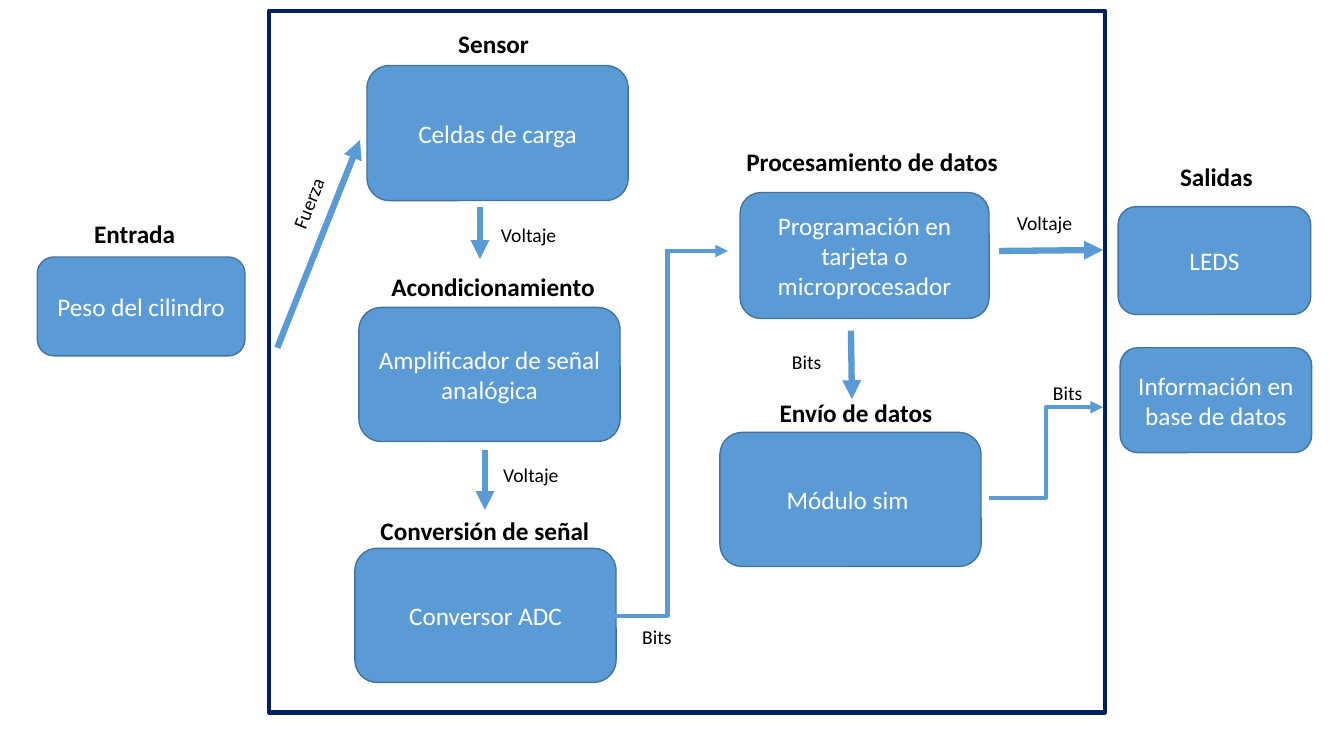
from dataclasses import dataclass

from lxml.etree import SubElement
from pptx import Presentation
from pptx.dml.color import RGBColor
from pptx.enum.shapes import MSO_CONNECTOR, MSO_SHAPE
from pptx.enum.text import MSO_ANCHOR, MSO_AUTO_SIZE, PP_ALIGN
from pptx.oxml.ns import qn
from pptx.util import Inches, Pt

COLORS = {"block": "5B9BD5", "edge": "43739E", "frame": "002060",
          "light": "FFFFFF", "dark": "000000"}
FONT = "Calibri"


@dataclass
class Block:
    text: str
    left: float
    top: float
    width: float
    height: float


@dataclass
class Label:
    text: str
    left: float
    top: float
    width: float = 1.61
    height: float = 0.34
    size: int = 14
    bold: bool = False
    rotation: float = 0


@dataclass
class Title(Label):
    height: float = 0.4
    size: int = 18
    bold: bool = True


@dataclass
class Link:
    x1: float
    y1: float
    x2: float
    y2: float
    width: float = 4.5
    arrow: bool = True
    preset: str = "line"


BLOCKS = [
    Block("Peso del cilindro", 0.37, 2.55, 2.06, 0.98),
    Block("Celdas de carga", 3.64, 0.65, 2.59, 1.34),
    Block("Amplificador de señal analógica", 3.56, 3.05, 2.59, 1.33),
    Block("Conversor ADC", 3.52, 5.44, 2.59, 1.33),
    Block("Programación en tarjeta o microprocesador", 7.34, 1.91, 2.47, 1.25),
    Block("Módulo sim ", 7.14, 4.29, 2.59, 1.33),
    Block("LEDS", 11.09, 2.05, 1.91, 1.07),
    Block("Información en base de datos", 11.11, 3.45, 1.9, 1.04),
]

LABELS = [
    Title("Entrada", 0.53, 2.12),
    Title("Sensor", 4.09, 0.23),
    Title("Acondicionamiento", 3.75, 2.64, 2.28),
    Title("Conversión de señal", 3.44, 5.06, 2.74),
    Title("Procesamiento de datos", 7.22, 1.4, 2.86),
    Title("Envío de datos", 7.06, 3.89, 2.86),
    Title("Salidas", 11.26, 1.55),
    Label("Fuerza", 2, 1.85, 2.12, rotation=291.8),
    Label("Voltaje ", 4.46, 2.16),
    Label("Voltaje", 4.46, 4.54),
    Label("Bits", 5.71, 6.15),
    Label("Bits", 7.43, 3.42, 1.14),
    Label("Voltaje", 9.79, 2.04, 1.14),
    Label("Bits", 10.02, 3.73, 1.14),
]

LINKS = [
    Link(2.75, 3.45, 3.57, 1.39),
    Link(4.76, 2.05, 4.76, 2.57),
    Link(4.81, 4.46, 4.81, 5.06),
    Link(9.91, 2.49, 10.94, 2.48),
    Link(8.44, 3.28, 8.45, 3.96),
    Link(6.1, 6.11, 6.62, 2.47, 3, False, "bentConnector2"),
    Link(6.62, 2.49, 7.22, 2.49, 3),
    Link(9.81, 4.94, 10.94, 4.04, 3, preset="bentConnector3"),
]


def color(name: str) -> RGBColor:
    return RGBColor.from_string(COLORS[name])


def set_line(line, name: str, width: float) -> None:
    line.color.rgb = color(name)
    line.width = Pt(width)


def write(tf, text: str, size: int, name: str, bold: bool = False) -> None:
    """Put one centred, wrapped paragraph into a text frame."""
    tf.word_wrap = True
    tf.text = text
    p = tf.paragraphs[0]
    p.alignment = PP_ALIGN.CENTER
    font = p.runs[0].font
    font.name, font.size, font.bold = FONT, Pt(size), bold
    font.color.rgb = color(name)


def add_frame(s) -> None:
    sp = s.shapes.add_shape(MSO_SHAPE.RECTANGLE, Inches(2.67), Inches(0.11),
                            Inches(8.29), Inches(6.96))
    sp.shadow.inherit = False
    sp.fill.background()
    set_line(sp.line, "frame", 3)


def add_block(s, b: Block) -> None:
    sp = s.shapes.add_shape(MSO_SHAPE.ROUNDED_RECTANGLE, Inches(b.left),
                            Inches(b.top), Inches(b.width), Inches(b.height))
    sp.shadow.inherit = False
    sp.fill.solid()
    sp.fill.fore_color.rgb = color("block")
    set_line(sp.line, "edge", 1)
    sp.text_frame.vertical_anchor = MSO_ANCHOR.MIDDLE
    write(sp.text_frame, b.text, 18, "light")


def add_label(s, t: Label) -> None:
    sp = s.shapes.add_textbox(Inches(t.left), Inches(t.top),
                              Inches(t.width), Inches(t.height))
    sp.rotation = t.rotation
    write(sp.text_frame, t.text, t.size, "dark", t.bold)
    sp.text_frame.auto_size = MSO_AUTO_SIZE.SHAPE_TO_FIT_TEXT


def add_link(s, k: Link) -> None:
    kind = MSO_CONNECTOR.STRAIGHT if k.preset == "line" else MSO_CONNECTOR.ELBOW
    c = s.shapes.add_connector(kind, Inches(k.x1), Inches(k.y1),
                               Inches(k.x2), Inches(k.y2))
    set_line(c.line, "block", k.width)
    spPr = c._element.spPr
    spPr.find(qn("a:prstGeom")).set("prst", k.preset)
    if k.arrow:
        SubElement(spPr.find(qn("a:ln")), qn("a:tailEnd"), type="triangle")
    SubElement(spPr, qn("a:effectLst"))


def main() -> None:
    prs = Presentation()
    prs.slide_width, prs.slide_height = Inches(13.33), Inches(7.5)
    s = prs.slides.add_slide(prs.slide_layouts[6])
    add_frame(s)
    for block in BLOCKS:
        add_block(s, block)
    for link in LINKS:
        add_link(s, link)
    for label in LABELS:
        add_label(s, label)
    prs.save("out.pptx")


if __name__ == "__main__":
    main()
